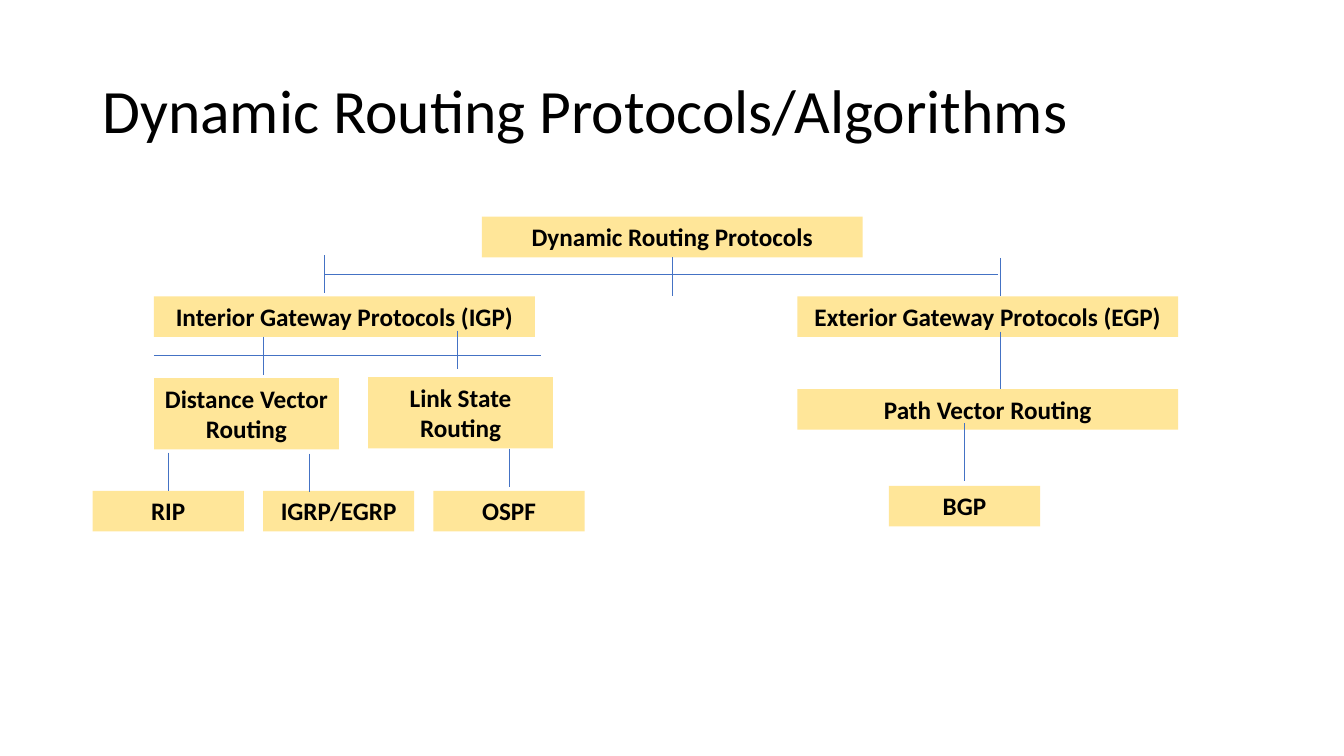
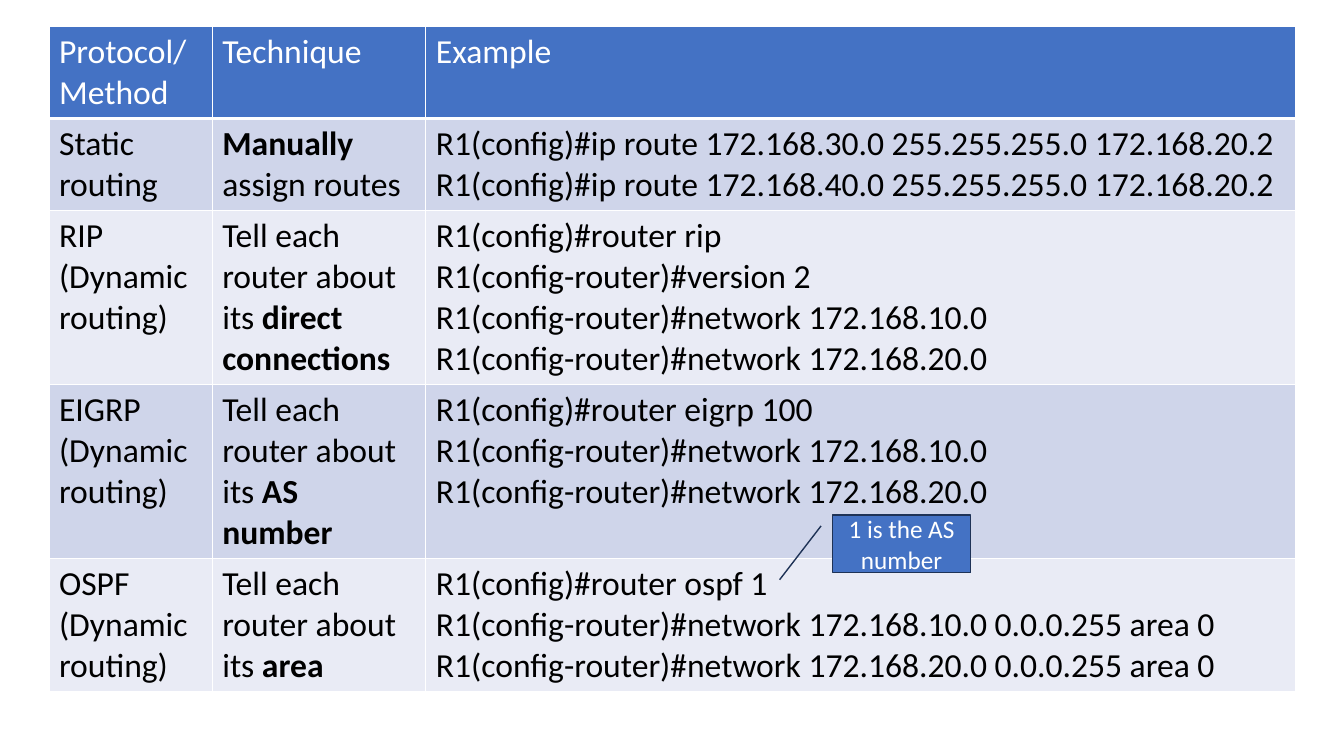
from lxml import etree
from pptx import Presentation
from pptx.dml.color import RGBColor
from pptx.enum.shapes import MSO_CONNECTOR, MSO_SHAPE
from pptx.enum.text import MSO_ANCHOR, PP_ALIGN
from pptx.oxml.ns import qn
from pptx.util import Pt

RECTANGLE = MSO_SHAPE.RECTANGLE
CALLOUT = MSO_SHAPE.LINE_CALLOUT_1
STRAIGHT = MSO_CONNECTOR.STRAIGHT
TOP, MIDDLE = MSO_ANCHOR.TOP, MSO_ANCHOR.MIDDLE
LEFT, CENTER = PP_ALIGN.LEFT, PP_ALIGN.CENTER
TOP_SIDE, BOTTOM_SIDE = 0, 2

COLORS = {
    "black": "000000", "white": "FFFFFF", "blue": "4472C4", "navy": "1E3256",
    "sand": "FFE699", "band_dark": "CFD5EA", "band_light": "E9EBF5",
}
FORMATS = {
    "title": {"size": Pt(44), "bold": False},
    "box": {"size": Pt(18), "bold": True},
    "note": {"size": Pt(18), "bold": False},
    "cell": {"size": Pt(24), "bold": False},
}


def rgb(name):
    return RGBColor.from_string(COLORS[name])


class Deck:
    """Holds the shared style and the slide being built."""

    font = "Calibri"

    def __init__(self):
        self.presentation = Presentation()
        self.presentation.slide_width = Pt(960)
        self.presentation.slide_height = Pt(540)
        self.slide = None

    def new_slide(self):
        blank = self.presentation.slide_layouts[6]
        self.slide = self.presentation.slides.add_slide(blank)

    def fill_text(self, frame, text, style, color, align=LEFT, spacing=1.0):
        """One paragraph per line; text between ** marks is bold."""
        frame.word_wrap = True
        for index, line in enumerate(text.split("\n")):
            paragraph = frame.paragraphs[0] if index == 0 else frame.add_paragraph()
            paragraph.alignment = align
            paragraph.line_spacing = spacing
            for part, words in enumerate(line.split("**")):
                if not words:
                    continue
                run = paragraph.add_run()
                run.text = words
                values = {**FORMATS[style], "name": self.font}
                if part % 2:
                    values["bold"] = True
                for attribute, value in values.items():
                    setattr(run.font, attribute, value)
                run.font.color.rgb = rgb(color)

    def title(self, text):
        shape = self.slide.shapes.add_textbox(Pt(66), Pt(28.8), Pt(828), Pt(104.4))
        shape.text_frame.vertical_anchor = MIDDLE
        self.fill_text(shape.text_frame, text, "title", "black", spacing=0.9)

    def shape(self, kind, left, top, width, height, fill, line=None):
        shape = self.slide.shapes.add_shape(
            kind, Pt(left), Pt(top), Pt(width), Pt(height))
        shape.shadow.inherit = False
        shape.fill.solid()
        shape.fill.fore_color.rgb = rgb(fill)
        if line:
            shape.line.color.rgb = rgb(line)
            shape.line.width = Pt(1)
        else:
            shape.line.fill.background()
        return shape

    def box(self, text, left, top, width, height=29):
        shape = self.shape(RECTANGLE, left, top, width, height, "sand")
        shape.text_frame.vertical_anchor = TOP
        self.fill_text(shape.text_frame, text, "box", "black", CENTER)
        return shape

    def callout(self, text, left, top, width, height):
        shape = self.shape(CALLOUT, left, top, width, height, "blue", "navy")
        shape.text_frame.vertical_anchor = MIDDLE
        self.fill_text(shape.text_frame, text, "note", "white", CENTER)

    def line(self, x1, y1, x2, y2, begin=None, end=None):
        connector = self.slide.shapes.add_connector(
            STRAIGHT, Pt(x1), Pt(y1), Pt(x2), Pt(y2))
        connector.line.color.rgb = rgb("blue")
        connector.line.width = Pt(0.5)
        etree.SubElement(connector._element.spPr, qn("a:effectLst"))
        if begin:
            connector.begin_connect(begin, BOTTOM_SIDE)
        if end:
            connector.end_connect(end, TOP_SIDE)

    def borders(self, cell, bottom):
        properties = cell._tc.get_or_add_tcPr()
        for side, width in (("L", 1), ("R", 1), ("T", 1), ("B", bottom)):
            edge = etree.SubElement(properties, qn("a:ln" + side), w=str(Pt(width)))
            fill = etree.SubElement(edge, qn("a:solidFill"))
            etree.SubElement(fill, qn("a:srgbClr"), val=COLORS["white"])

    def table(self, left, top, widths, heights, rows):
        table = self.slide.shapes.add_table(
            len(rows), len(widths), Pt(left), Pt(top),
            Pt(sum(widths)), Pt(sum(heights))).table
        for column, width in zip(table.columns, widths):
            column.width = Pt(width)
        for index, (row, height) in enumerate(zip(rows, heights)):
            table.rows[index].height = Pt(height)
            header = index == 0
            band = "blue" if header else "band_dark" if index % 2 else "band_light"
            for cell, text in zip(table.rows[index].cells, row):
                self.borders(cell, 3 if header else 1)
                cell.fill.solid()
                cell.fill.fore_color.rgb = rgb(band)
                self.fill_text(cell.text_frame, text, "cell",
                               "white" if header else "black")


def protocol_tree(deck):
    deck.new_slide()
    deck.title("Dynamic Routing Protocols/Algorithms")

    # Boxes, level by level
    wide, medium, narrow = 272, 132, 108
    interior_left, exterior_left = 110, 569.5
    root = deck.box("Dynamic Routing Protocols", 344.2, 154.8, wide)
    deck.box("Interior Gateway Protocols (IGP)", interior_left, 211.7, wide)
    deck.box("Exterior Gateway Protocols (EGP)", exterior_left, 211.7, wide)
    deck.box("Distance Vector Routing", interior_left, 270, medium, 51)
    deck.box("Link State Routing", 263, 269.3, medium, 51)
    deck.box("Path Vector Routing", exterior_left, 278, wide)
    rip, _, _ = [
        deck.box(name, 66.2 + 121.7 * index, 350.6, narrow)
        for index, name in enumerate(("RIP", "IGRP/EGRP", "OSPF"))]
    deck.box("BGP", 635, 347, narrow)

    # Branch bars
    deck.line(231.8, 196, 713, 196)
    deck.line(110, 254.2, 386.6, 254.2)

    # Joined drops
    deck.line(480.2, 184, 480.2, 211.7, begin=root)
    deck.line(120.2, 323.3, 120.2, 350.6, end=rip)

    # Free drops: x, top, length
    short, long = 27.4, 41
    for x, top, length in (
            (231.8, 182.2, short), (714.3, 184.3, short),
            (188, 240.5, short), (326.9, 236.2, short),
            (714.3, 236.9, long), (221, 324, short),
            (363.6, 320.4, short), (689, 302.4, long)):
        deck.line(x, top, x, top + length)


def method_table(deck):
    deck.new_slide()
    prompt, router = "R1(config)#", "R1(config-router)#"
    networks = [f"{router}network 172.168.{subnet}.0" for subnet in (10, 20)]
    tell = "Tell each router about its "

    def commands(*lines):
        return "\n".join(lines)

    rows = [
        ("Protocol/Method", "Technique", "Example"),
        ("Static routing", "**Manually** assign routes", commands(*(
            f"{prompt}ip route 172.168.{subnet}.0 255.255.255.0 172.168.20.2"
            for subnet in (30, 40)))),
        ("RIP (Dynamic routing)", tell + "**direct connections**",
         commands(prompt + "router rip", router + "version 2", *networks)),
        ("EIGRP (Dynamic routing)", tell + "**AS number**",
         commands(prompt + "router eigrp 100", *networks)),
        ("OSPF (Dynamic routing)", tell + "**area**",
         commands(prompt + "router ospf 1",
                  *(network + " 0.0.0.255 area 0" for network in networks))),
    ]
    # Each row is as tall as its longest cell
    heights = [29.3 * lines + 7.2 for lines in (2, 2, 4, 4, 3)]
    deck.table(35, 18.8, (116.6, 152.6, 621), heights, rows)
    deck.callout("1 is the AS number", 594.7, 368, 98.6, 41)


def main():
    deck = Deck()
    protocol_tree(deck)
    method_table(deck)
    deck.presentation.save("out.pptx")


if __name__ == "__main__":
    main()
